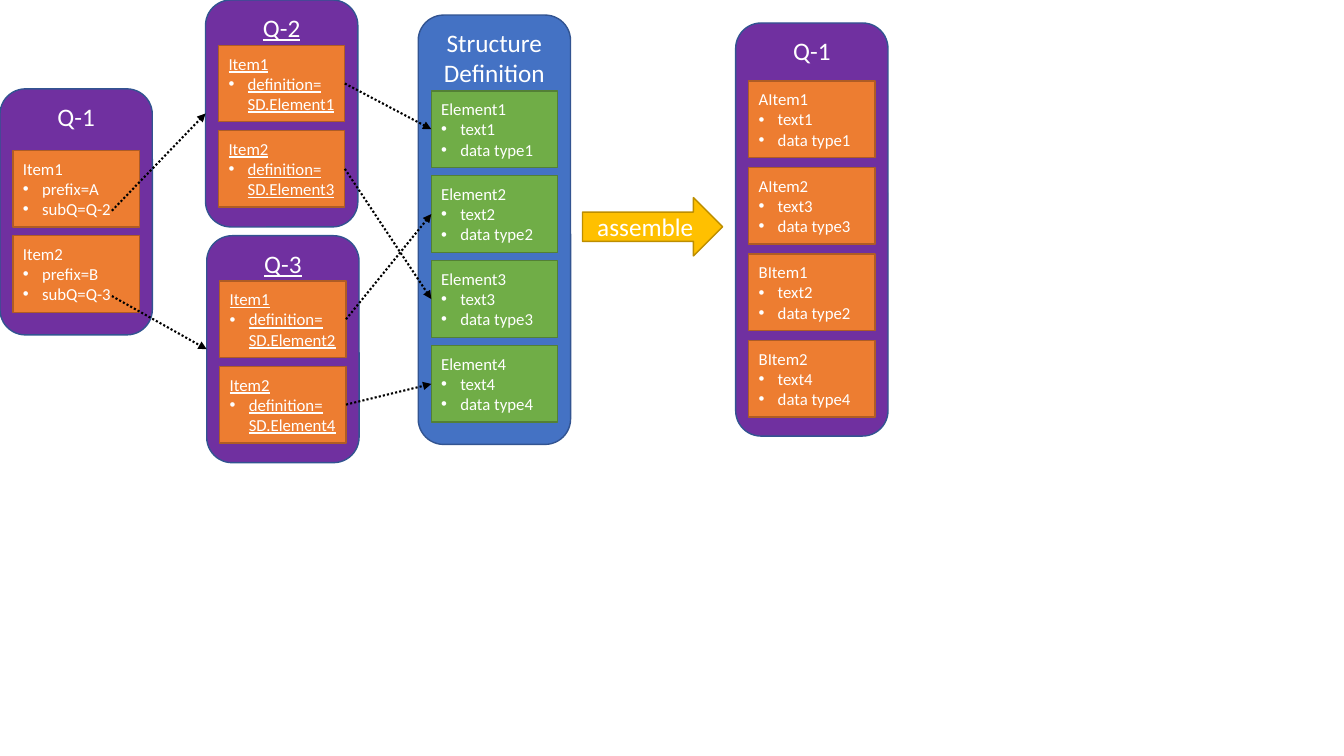
import copy
import lxml.etree
import pptx
import pptx.dml.color
import pptx.enum.dml
import pptx.enum.shapes
import pptx.enum.text
import pptx.oxml.ns
import pptx.util

Cm = pptx.util.Cm
Pt = pptx.util.Pt
qn = pptx.oxml.ns.qn
KIND = pptx.enum.shapes.MSO_SHAPE
SIDE = pptx.enum.text.PP_ALIGN
SPOT = pptx.enum.text.MSO_ANCHOR

PURPLE, BLUE, EDGE = "7030A0", "4472C4", "325491"
ORANGE = ("ED7D31", "AF5C24")
GREEN = ("70AD47", "538035")
GOLD = ("FFC000", "BD8E00")
HEAD = {"name": "Calibri", "size": Pt(18)}
BODY = {"name": "Calibri", "size": Pt(12)}
WIDE, ITEM_W, ITEM_H, PAD = 3.84, 3.18, 1.93, 0.33

PANELS = {
    "def": {
        "title": "Structure\nDefinition", "at": (10.54, 0.38), "high": 10.82,
        "first": 2.29, "step": 2.14, "fill": BLUE, "tint": GREEN, "under": None,
        "items": [(f"Element{n}", f"text{n}", f"data type{n}") for n in range(1, 5)],
    },
    "result": {
        "title": "Q-1", "at": (18.54, 0.58), "high": 10.41,
        "first": 2.04, "step": 2.18, "fill": PURPLE, "tint": ORANGE, "under": None,
        "items": [
            ("AItem1", "text1", "data type1"),
            ("AItem2", "text3", "data type3"),
            ("BItem1", "text2", "data type2"),
            ("BItem2", "text4", "data type4"),
        ],
    },
    "q1": {
        "title": "Q-1", "at": (0, 2.24), "high": 6.2,
        "first": 3.79, "step": 2.15, "fill": PURPLE, "tint": ORANGE, "under": None,
        "items": [
            ("Item1", "prefix=A", "subQ=Q-2"),
            ("Item2", "prefix=B", "subQ=Q-3"),
        ],
    },
    "q2": {
        "title": "Q-2", "at": (5.18, 0), "high": 5.72,
        "first": 1.14, "step": 2.15, "fill": PURPLE, "tint": ORANGE, "under": True,
        "items": [
            ("Item1", "definition=\nSD.Element1"),
            ("Item2", "definition=\nSD.Element3"),
        ],
    },
    "q3": {
        "title": "Q-3", "at": (5.21, 5.94), "high": 5.72,
        "first": 7.08, "step": 2.15, "fill": PURPLE, "tint": ORANGE, "under": True,
        "items": [
            ("Item1", "definition=\nSD.Element2"),
            ("Item2", "definition=\nSD.Element4"),
        ],
    },
}
CALLS = [("q1", 0, "q2"), ("q1", 1, "q3")]
LINKS = [("q2", 0, 0), ("q2", 1, 2), ("q3", 0, 1), ("q3", 1, 3)]
CALL_X, CALL_Y = 2.82, 1.52


def paint(form, tone):
    form.rgb = pptx.dml.color.RGBColor.from_string(tone)


def write(para, text, look, under):
    para.text = text
    for run in para.runs:
        for key, val in {**look, "underline": under}.items():
            setattr(run.font, key, val)
        paint(run.font.color, "FFFFFF")
    for gap in para._p.findall(qn("a:br")):
        gap.append(copy.deepcopy(para.runs[0]._r.rPr))


def dot(para):
    props = para._p.get_or_add_pPr()
    props.set("marL", str(Cm(0.48)))
    props.set("indent", str(-Cm(0.48)))
    lxml.etree.SubElement(props, qn("a:buFont")).set("typeface", "Arial")
    lxml.etree.SubElement(props, qn("a:buChar")).set("char", "•")


def block(slide, kind, place, tint, lines, look, under=None, side=SIDE.LEFT, spot=SPOT.MIDDLE):
    shape = slide.shapes.add_shape(kind, *map(Cm, place))
    shape.shadow.inherit = False
    shape.fill.solid()
    paint(shape.fill.fore_color, tint[0])
    paint(shape.line.color, tint[1])
    shape.line.width = Pt(1)
    frame = shape.text_frame
    for key, val in {"word_wrap": True, "vertical_anchor": spot}.items():
        setattr(frame, key, val)
    for num, text in enumerate(lines):
        para = frame.add_paragraph() if num else frame.paragraphs[0]
        para.alignment = side
        write(para, text, look, under)
        if num:
            dot(para)
    return shape


def panel(slide, data):
    left, top = data["at"]
    under = data["under"]
    card = block(slide, KIND.ROUNDED_RECTANGLE, (left, top, WIDE, data["high"]),
                 (data["fill"], EDGE), [data["title"]], HEAD, under, SIDE.CENTER, SPOT.TOP)
    boxes = []
    for row, lines in enumerate(data["items"]):
        place = (left + PAD, data["first"] + row * data["step"], ITEM_W, ITEM_H)
        boxes.append(block(slide, KIND.RECTANGLE, place, data["tint"], lines, BODY, under))
    return card, boxes


def link(slide, start, goal):
    line = slide.shapes.add_connector(pptx.enum.shapes.MSO_CONNECTOR.STRAIGHT, *start, *start)
    line.end_connect(goal, 1)
    paint(line.line.color, "000000")
    looks = {"width": Pt(1.5), "dash_style": pptx.enum.dml.MSO_LINE.ROUND_DOT}
    for key, val in looks.items():
        setattr(line.line, key, val)
    tip = lxml.etree.SubElement(line.line._get_or_add_ln(), qn("a:tailEnd"))
    tip.set("type", "triangle")
    lxml.etree.SubElement(line._element.spPr, qn("a:effectLst"))
    return line


def main():
    deck = pptx.Presentation()
    deck.slide_width, deck.slide_height = Cm(33.87), Cm(19.05)
    slide = deck.slides.add_slide(deck.slide_layouts[6])
    made = {name: panel(slide, data) for name, data in PANELS.items()}
    for name, row, goal in CALLS:
        box = made[name][1][row]
        link(slide, (Cm(CALL_X), box.top + Cm(CALL_Y)), made[goal][0])
    for name, row, goal in LINKS:
        box = made[name][1][row]
        line = link(slide, (box.left + box.width, box.top + box.height // 2), made["def"][1][goal])
        line.begin_connect(box, 3)
    block(slide, KIND.RIGHT_ARROW, (14.68, 4.98, 3.53, 1.47), GOLD, ["assemble"], HEAD,
          side=SIDE.CENTER)
    deck.save("out.pptx")


if __name__ == "__main__":
    main()
